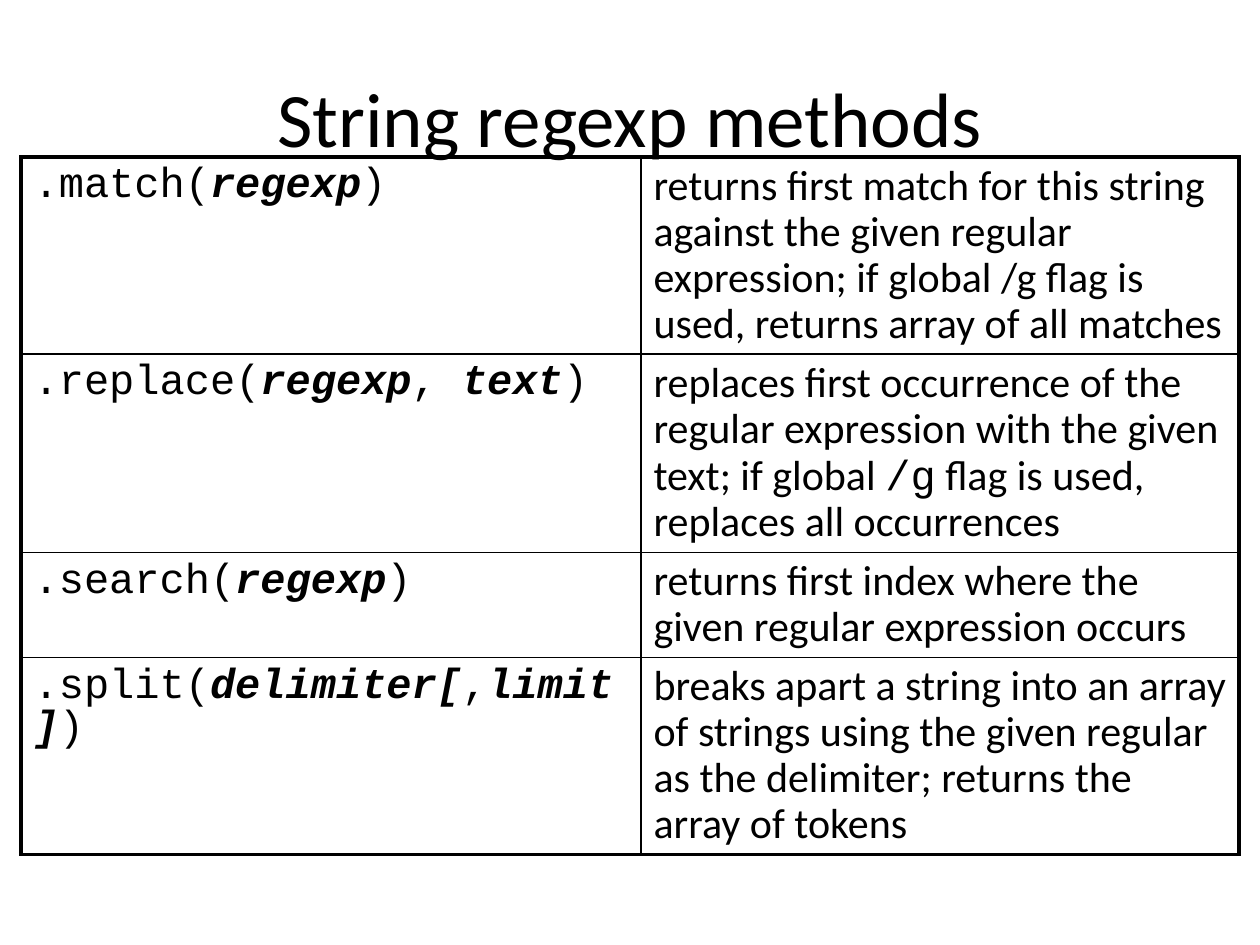
from dataclasses import dataclass

from lxml import etree
from pptx import Presentation
from pptx.dml.color import RGBColor
from pptx.enum.text import MSO_ANCHOR, PP_ALIGN
from pptx.oxml.ns import qn
from pptx.util import Emu, Pt

CENTER = PP_ALIGN.CENTER
MIDDLE = MSO_ANCHOR.MIDDLE
TITLE_ONLY_LAYOUT = 5

PX_PER_INCH = 126
COLORS = {"text": "000000", "border": "000000"}
BODY_FONT, CODE_FONT = "Calibri", "Courier New"
OUTER_LINE, INNER_LINE = Pt(2.25), Pt(1)
COLUMN_WIDTHS = (620, 598)


@dataclass(frozen=True)
class Span:
    text: str
    font: str = BODY_FONT
    emphasis: bool = False


@dataclass(frozen=True)
class Method:
    signature: tuple[Span, ...]
    description: tuple[Span, ...]
    height: int


def code(text: str) -> Span:
    return Span(text, CODE_FONT)


def argument(text: str) -> Span:
    return Span(text, CODE_FONT, emphasis=True)


METHODS = (
    Method(
        (code(".match("), argument("regexp"), code(")")),
        (Span("returns first match for this string against the given regular "
              "expression; if global /g flag is used, returns array of all matches"),),
        194,
    ),
    Method(
        (code(".replace("), argument("regexp"), code(", "), argument("text"), code(")")),
        (Span("replaces first occurrence of the regular expression with the given "
              "text; if global "),
         code("/g"),
         Span(" flag is used, replaces all occurrences")),
        194,
    ),
    Method(
        (code(".search("), argument("regexp"), code(")")),
        (Span("returns first index where the given regular expression occurs"),),
        103,
    ),
    Method(
        (code(".split("), argument("delimiter["), code(","), argument("limit]"), code(")")),
        (Span("breaks apart a string into an array of strings using the given regular "
              "as the delimiter; returns the array of tokens"),),
        194,
    ),
)


def px(length: int) -> Emu:
    return Emu(round(length * 914400 / PX_PER_INCH))


def add_title(page, text: str) -> None:
    title = page.shapes.title
    title.left, title.top, title.width, title.height = px(63), px(38), px(1134), px(158)
    title.text_frame.text = text
    title.text_frame.vertical_anchor = MIDDLE
    para = title.text_frame.paragraphs[0]
    para.alignment = CENTER
    para.font.size = Pt(44)
    para.font.name = BODY_FONT
    para.font.color.rgb = RGBColor.from_string(COLORS["text"])


def write_cell(cell, spans: tuple[Span, ...]) -> None:
    para = cell.text_frame.paragraphs[0]
    para.line_spacing = 0.9
    para.font.size = Pt(24)
    para.font.color.rgb = RGBColor.from_string(COLORS["text"])
    for span in spans:
        run = para.add_run()
        run.text = span.text
        run.font.name = span.font
        if span.emphasis:
            run.font.bold = run.font.italic = True


def set_borders(cell, outer_sides: dict[str, bool]) -> None:
    """Draw all four borders, thick on the sides at the table's edge."""
    properties = cell._tc.get_or_add_tcPr()
    for side, is_outer in outer_sides.items():
        width = OUTER_LINE if is_outer else INNER_LINE
        line = etree.SubElement(properties, qn(f"a:ln{side}"), w=str(int(width)))
        fill = etree.SubElement(line, qn("a:solidFill"))
        etree.SubElement(fill, qn("a:srgbClr"), val=COLORS["border"])


def add_method_table(page, methods: tuple[Method, ...]) -> None:
    last_row, last_column = len(methods) - 1, len(COLUMN_WIDTHS) - 1
    table = page.shapes.add_table(
        len(methods), len(COLUMN_WIDTHS), px(21), px(157),
        px(sum(COLUMN_WIDTHS)), px(sum(method.height for method in methods)),
    ).table
    table.first_row = table.horz_banding = False
    for column, width in zip(table.columns, COLUMN_WIDTHS):
        column.width = px(width)
    for row, method in enumerate(methods):
        table.rows[row].height = px(method.height)
        for column, spans in enumerate((method.signature, method.description)):
            cell = table.cell(row, column)
            write_cell(cell, spans)
            set_borders(cell, {
                "L": column == 0,
                "R": column == last_column,
                "T": row == 0,
                "B": row == last_row,
            })
            cell.fill.background()


def main() -> None:
    deck = Presentation()
    deck.slide_width, deck.slide_height = px(1260), px(945)
    page = deck.slides.add_slide(deck.slide_layouts[TITLE_ONLY_LAYOUT])
    add_title(page, "String regexp methods")
    add_method_table(page, METHODS)
    deck.save("out.pptx")


if __name__ == "__main__":
    main()
